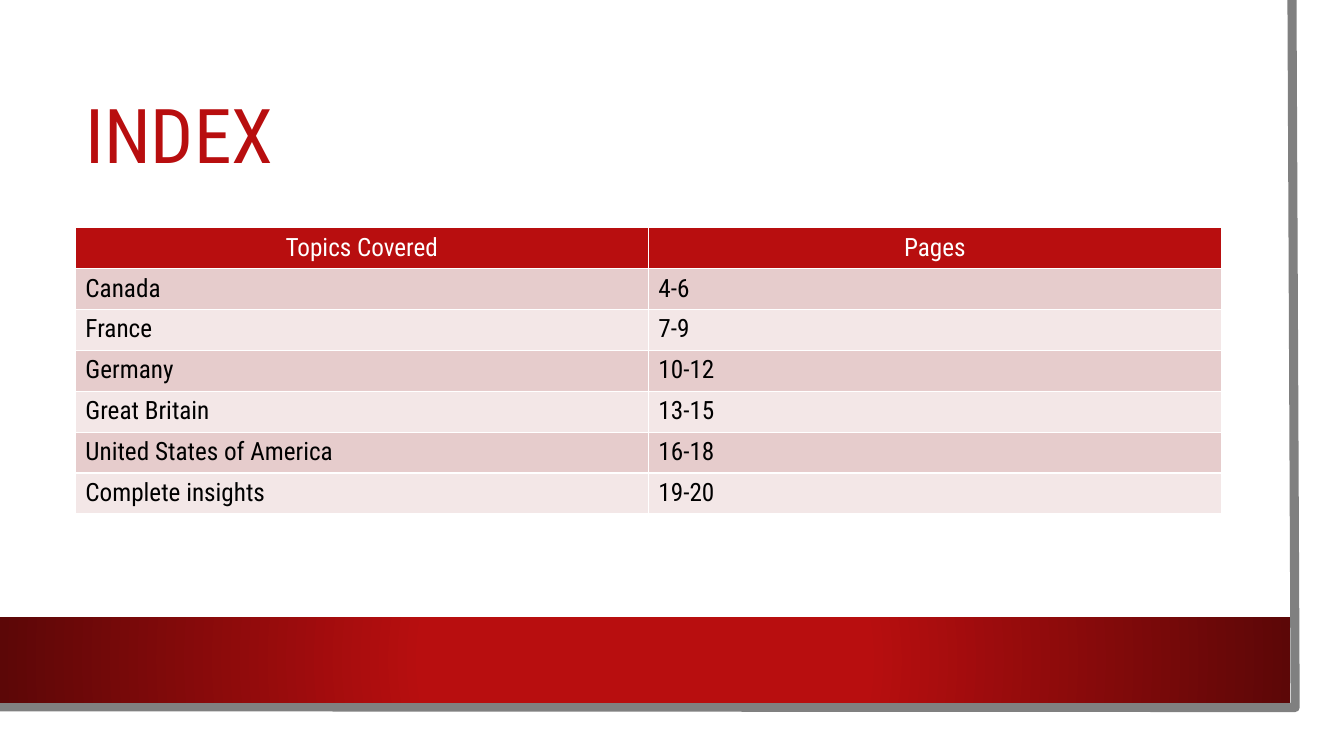
from lxml import etree
from pptx import Presentation
from pptx.dml.color import RGBColor
from pptx.enum.shapes import MSO_SHAPE
from pptx.enum.text import MSO_ANCHOR, PP_ALIGN
from pptx.oxml import parse_xml
from pptx.util import Cm, Pt

RECT = MSO_SHAPE.RECTANGLE
MIDDLE = MSO_ANCHOR.MIDDLE
LEFT, CENTER = PP_ALIGN.LEFT, PP_ALIGN.CENTER

TITLE = "INDEX"
ROWS = [
    ("Topics Covered", "Pages"),
    ("Canada", "4-6"),
    ("France", "7-9"),
    ("Germany", "10-12"),
    ("Great Britain", "13-15"),
    ("United States of America", "16-18"),
    ("Complete insights", "19-20"),
]
FONT = "Roboto Condensed"
RED, DARK, GREY = "B80E0F", "5C0707", "808080"
WHITE, BLACK = "FFFFFF", "000000"
BANDS = ("F3E7E7", "E6CCCC")
EDGE = [(32.56, 0), (32.64, 17.83), (-0.08, 17.81)]
SIDE, WIDTH, ROW = 1.9, 28.88, 1.03
NS = "http://schemas.openxmlformats.org/drawingml/2006/main"


def color(code):
    return RGBColor.from_string(code)


def paint(fill, code):
    fill.solid()
    fill.fore_color.rgb = color(code)


def write(para, text, size, code, align=LEFT):
    para.alignment = align
    run = para.add_run()
    run.text = text
    run.font.name = FONT
    run.font.size = Pt(size)
    run.font.bold = False
    run.font.color.rgb = color(code)


def block(shapes, left, top, width, height):
    shape = shapes.add_shape(RECT, Cm(left), Cm(top), Cm(width), Cm(height))
    shape.shadow.inherit = False
    shape.line.fill.background()
    paint(shape.fill, WHITE)
    return shape


def glow(shape, stops):
    marks = "".join(
        f'<a:gs pos="{pos * 1000}"><a:srgbClr val="{code}"/></a:gs>'
        for pos, code in stops
    )
    grad = parse_xml(
        f'<a:gradFill xmlns:a="{NS}" rotWithShape="1"><a:gsLst>{marks}</a:gsLst>'
        '<a:path path="circle"><a:fillToRect l="50000" t="50000" r="50000" '
        'b="50000"/></a:path></a:gradFill>'
    )
    props = shape.element.spPr
    old = props.find(etree.QName(NS, "solidFill").text)
    props.replace(old, grad)


def frame(shapes):
    (x, y), *rest = [(Cm(x), Cm(y)) for x, y in EDGE]
    path = shapes.build_freeform(x, y)
    path.add_line_segments(rest, close=False)
    shape = path.convert_to_shape()
    shape.shadow.inherit = False
    shape.fill.background()
    shape.line.color.rgb = color(GREY)
    shape.line.width = Pt(6.5)


def heading(shapes):
    box = shapes.add_textbox(Cm(SIDE), Cm(1.9), Cm(WIDTH), Cm(3.2))
    text = box.text_frame
    text.word_wrap = True
    text.vertical_anchor = MIDDLE
    para = text.paragraphs[0]
    para.line_spacing = 0.9
    write(para, TITLE, 54, RED)


def index(shapes):
    count = len(ROWS)
    table = shapes.add_table(
        count, 2, Cm(SIDE), Cm(5.74), Cm(WIDTH), Cm(ROW * count)
    ).table
    for r, row in enumerate(ROWS):
        table.rows[r].height = Cm(ROW)
        head = r == 0
        for c, text in enumerate(row):
            cell = table.cell(r, c)
            paint(cell.fill, RED if head else BANDS[r % 2])
            write(cell.text_frame.paragraphs[0], text, 18,
                  WHITE if head else BLACK, CENTER if head else LEFT)


def main():
    deck = Presentation()
    deck.slide_width, deck.slide_height = Cm(33.87), Cm(19.05)
    shapes = deck.slides.add_slide(deck.slide_layouts[6]).shapes
    block(shapes, 0, 0, 33.27, 18.47)
    frame(shapes)
    band = block(shapes, 0, 15.55, 32.51, 2.16)
    glow(band, [(34, RED), (100, DARK)])
    heading(shapes)
    index(shapes)
    deck.save("out.pptx")


if __name__ == "__main__":
    main()
